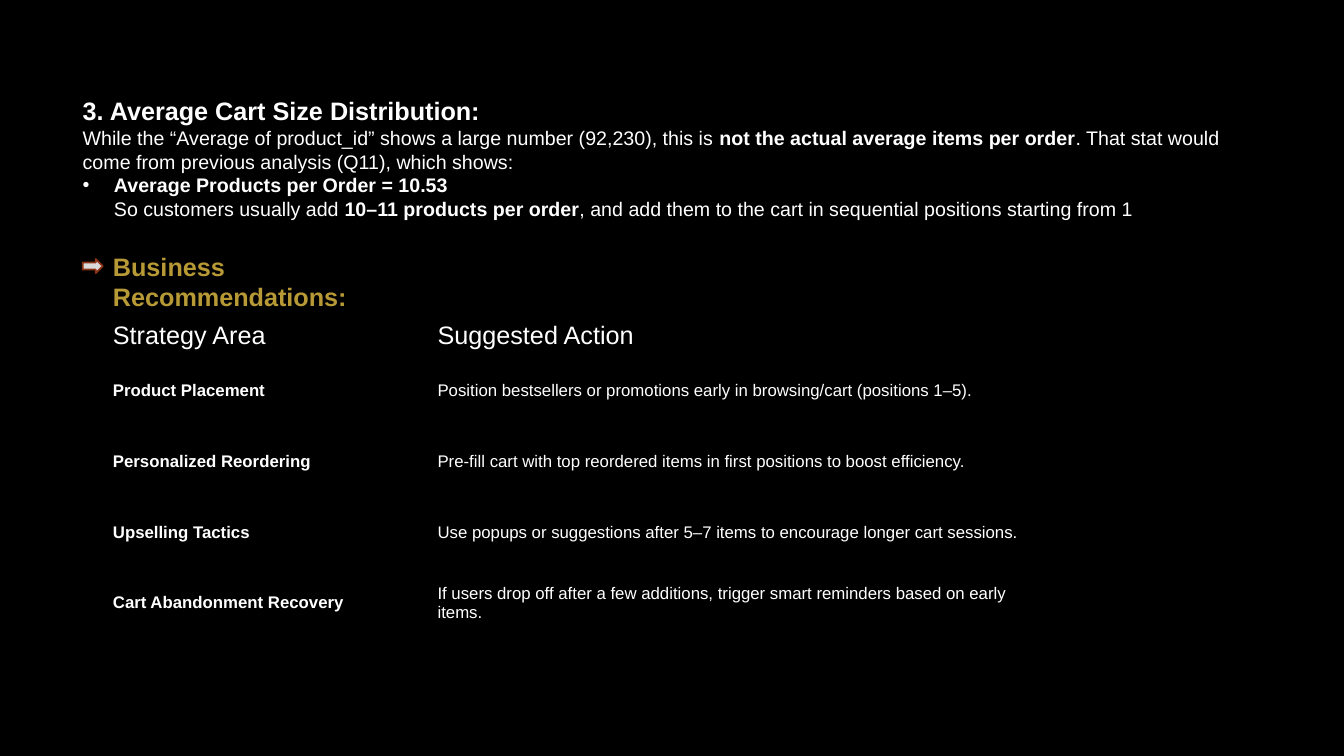
from lxml.etree import SubElement
from pptx import Presentation
from pptx.dml.color import RGBColor
from pptx.enum.shapes import MSO_SHAPE
from pptx.enum.text import MSO_ANCHOR, MSO_AUTO_SIZE, PP_ALIGN
from pptx.oxml.ns import qn
from pptx.util import Inches, Pt

COLORS = {"black": "000000", "white": "FFFFFF", "gold": "B79935",
          "arrow": "DADADA", "rust": "8B3314"}
FORMATS = {
    "heading": {"size": Pt(18), "bold": True},
    "header": {"size": Pt(18), "bold": False},
    "text": {"size": Pt(14), "bold": False},
    "strong": {"size": Pt(14), "bold": True},
    "area": {"size": Pt(12), "bold": True},
    "action": {"size": Pt(12), "bold": False},
}
BREAK = "\n"
FINDINGS = [
    (None, [("3. Average Cart Size Distribution:", "heading")]),
    (None, [
        ("While the “Average of product_id” shows a large number (92,230), this is ", "text"),
        ("not the actual average items per order", "strong"),
        (". That stat would come from previous analysis (Q11), which shows:", "text"),
    ]),
    ("•", [
        ("Average Products per Order = 10.53", "strong"),
        (BREAK, "text"),
        ("So customers usually add ", "text"),
        ("10–11 products per order", "strong"),
        (", and add them to the cart in sequential positions starting from 1", "text"),
    ]),
]
RECOMMENDATIONS = "Business Recommendations:"
STRATEGIES = [
    ("Strategy Area", "Suggested Action"),
    ("Product Placement",
     "Position bestsellers or promotions early in browsing/cart (positions 1–5)."),
    ("Personalized Reordering",
     "Pre-fill cart with top reordered items in first positions to boost efficiency."),
    ("Upselling Tactics",
     "Use popups or suggestions after 5–7 items to encourage longer cart sessions."),
    ("Cart Abandonment Recovery",
     "If users drop off after a few additions, trigger smart reminders based on early items."),
]
COLUMN_WIDTHS = (3.22, 6.29)
HEADER_HEIGHT, ROW_HEIGHT = 0.4, 0.7
NO_GRID_STYLE = "{2D5ABB26-0587-4C30-8999-92F81FD0307C}"


def rgb(name):
    return RGBColor.from_string(COLORS[name])


def place(shape, *box):
    for side, length in zip(("left", "top", "width", "height"), box):
        setattr(shape, side, Inches(length))


def prepare(frame):
    settings = {"word_wrap": True, "auto_size": MSO_AUTO_SIZE.NONE,
                "vertical_anchor": MSO_ANCHOR.TOP}
    for name, value in settings.items():
        setattr(frame, name, value)


def write(paragraph, text, style, color="white"):
    run = paragraph.add_run()
    run.text = text
    for name, value in FORMATS[style].items():
        setattr(run.font, name, value)
    run.font.name = "Arial"
    run.font.color.rgb = rgb(color)


def write_break(paragraph, style):
    paragraph.add_line_break()
    line_break = paragraph._p.findall(qn("a:br"))[-1]
    points = FORMATS[style]["size"].pt
    SubElement(line_break, qn("a:rPr"), sz=str(int(points * 100)))


def set_bullet(paragraph, bullet):
    properties = paragraph._p.get_or_add_pPr()
    indent = Inches(0.31) if bullet else 0
    properties.set("marL", str(indent))
    properties.set("indent", str(-indent))
    if bullet:
        SubElement(properties, qn("a:buFont"), typeface="Arial")
        SubElement(properties, qn("a:buChar"), char=bullet)
    else:
        SubElement(properties, qn("a:buNone"))


def add_findings(body):
    place(body, 0.72, 0.9, 11.72, 1.35)
    frame = body.text_frame
    prepare(frame)
    for index, (bullet, pieces) in enumerate(FINDINGS):
        paragraph = frame.add_paragraph() if index else frame.paragraphs[0]
        set_bullet(paragraph, bullet)
        paragraph.space_before = Pt(0)
        for text, style in pieces:
            if text == BREAK:
                write_break(paragraph, style)
            else:
                write(paragraph, text, style)


def add_recommendations(slide):
    arrow = slide.shapes.add_shape(
        MSO_SHAPE.RIGHT_ARROW, *map(Inches, (0.82, 2.57, 0.2, 0.14)))
    arrow.shadow.inherit = False
    arrow.fill.solid()
    arrow.fill.fore_color.rgb = rgb("arrow")
    arrow.line.color.rgb = rgb("rust")
    arrow.line.width = Pt(1.25)

    title = slide.shapes.title
    place(title, 1.02, 2.44, 3.35, 0.4)
    prepare(title.text_frame)
    paragraph = title.text_frame.paragraphs[0]
    paragraph.alignment = PP_ALIGN.LEFT
    write(paragraph, RECOMMENDATIONS, "heading", "gold")


def add_strategies(slide):
    heights = [HEADER_HEIGHT] + [ROW_HEIGHT] * (len(STRATEGIES) - 1)
    table = slide.shapes.add_table(
        len(STRATEGIES), len(COLUMN_WIDTHS), Inches(1.02), Inches(3.13),
        Inches(sum(COLUMN_WIDTHS)), Inches(sum(heights))).table
    table.first_row = table.horz_banding = False
    table._tbl.tblPr.find(qn("a:tableStyleId")).text = NO_GRID_STYLE
    for column, width in zip(table.columns, COLUMN_WIDTHS):
        column.width = Inches(width)
    for row_index, (row, height, strategy) in enumerate(zip(table.rows, heights, STRATEGIES)):
        row.height = Inches(height)
        styles = ("area", "action") if row_index else ("header", "header")
        for cell, text, style in zip(row.cells, strategy, styles):
            cell.fill.background()
            cell.vertical_anchor = MSO_ANCHOR.MIDDLE
            write(cell.text_frame.paragraphs[0], text, style)


def main():
    deck = Presentation()
    deck.slide_width, deck.slide_height = Inches(13.33), Inches(7.5)
    slide = deck.slides.add_slide(deck.slide_layouts[1])
    slide.background.fill.solid()
    slide.background.fill.fore_color.rgb = rgb("black")
    add_findings(slide.placeholders[1])
    add_recommendations(slide)
    add_strategies(slide)
    deck.save("out.pptx")


if __name__ == "__main__":
    main()
